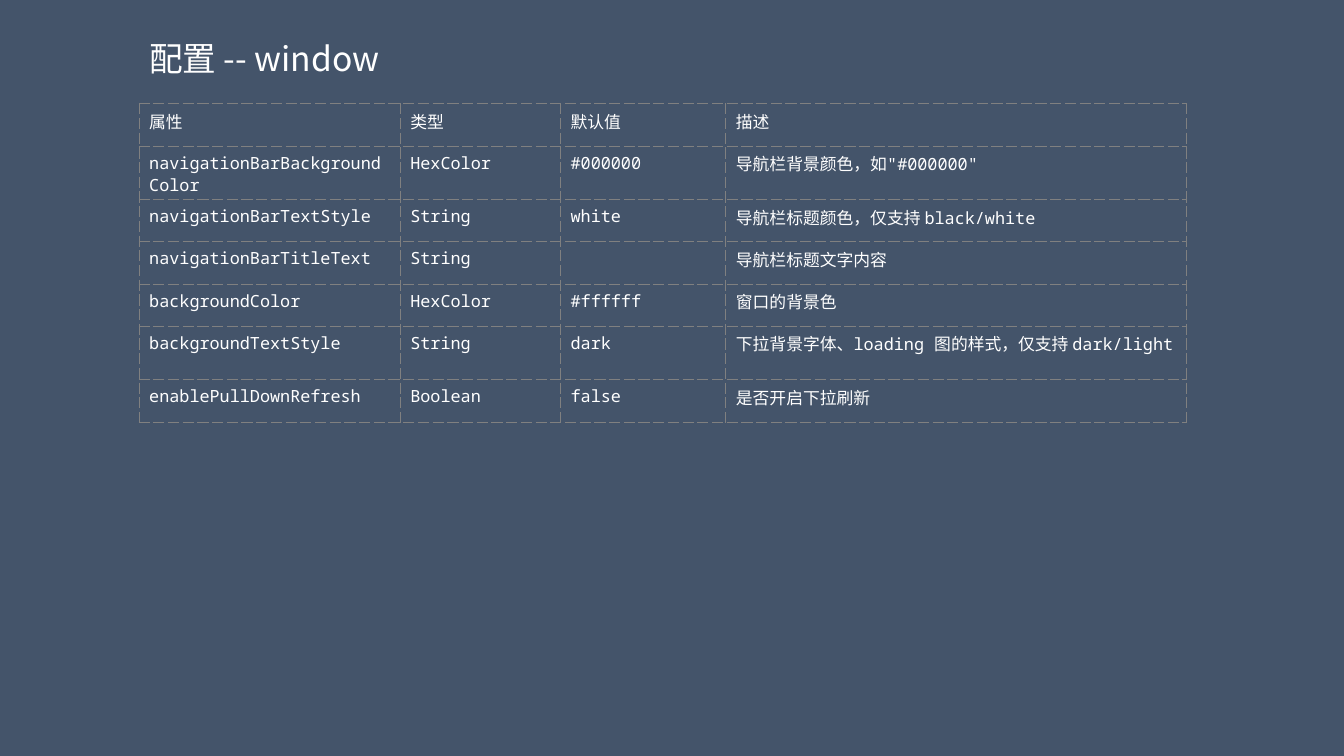
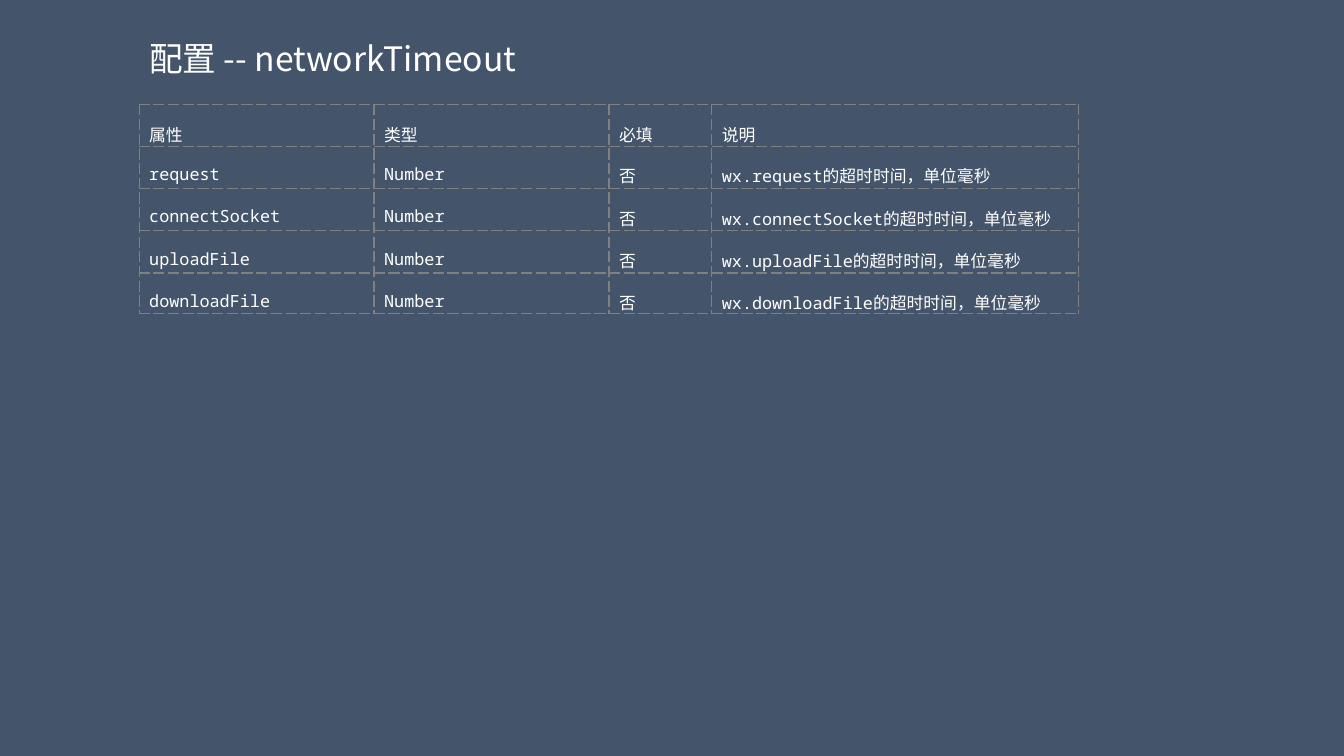
from lxml.etree import SubElement
from pptx import Presentation
from pptx.dml.color import RGBColor
from pptx.enum.text import MSO_AUTO_SIZE
from pptx.oxml.ns import qn
from pptx.util import Inches, Pt

SLIDE_WIDTH, SLIDE_HEIGHT = Inches(13.33), Inches(7.5)
LEFT = Inches(1.38)
SLATE = RGBColor(0x44, 0x54, 0x6A)
WHITE = RGBColor(0xFF, 0xFF, 0xFF)
BORDER_GREY = RGBColor(0x80, 0x80, 0x80)
TITLE_FONT, CODE_FONT = "Noto Sans CJK SC", "Noto Sans Mono"
ROW_HEIGHT, TWO_LINE_HEIGHT = 0.42, 0.53

WINDOW_ROWS = [
    ("属性", "类型", "默认值", "描述"),
    ("navigationBarBackgroundColor", "HexColor", "#000000", '导航栏背景颜色，如"#000000"'),
    ("navigationBarTextStyle", "String", "white", "导航栏标题颜色，仅支持 black/white"),
    ("navigationBarTitleText", "String", "", "导航栏标题文字内容"),
    ("backgroundColor", "HexColor", "#ffffff", "窗口的背景色"),
    ("backgroundTextStyle", "String", "dark", "下拉背景字体、loading 图的样式，仅支持 dark/light"),
    ("enablePullDownRefresh", "Boolean", "false", "是否开启下拉刷新"),
]
TWO_LINE_PROPERTIES = ("navigationBarBackgroundColor", "backgroundTextStyle")
TIMEOUT_ROWS = [("属性", "类型", "必填", "说明")] + [
    (request, "Number", "否", f"wx.{request}的超时时间，单位毫秒")
    for request in ("request", "connectSocket", "uploadFile", "downloadFile")
]


def style_text(paragraph, font_name, size):
    paragraph.font.name = font_name
    paragraph.font.size = Pt(size)
    paragraph.font.color.rgb = WHITE


def add_titled_slide(deck, topic):
    slide = deck.slides.add_slide(deck.slide_layouts[6])
    slide.background.fill.solid()
    slide.background.fill.fore_color.rgb = SLATE
    title = slide.shapes.add_textbox(LEFT, Inches(0.33), Inches(10.88), Inches(0.5)).text_frame
    title.word_wrap = True
    title.auto_size = MSO_AUTO_SIZE.SHAPE_TO_FIT_TEXT
    title.text = f"配置 -- {topic}"
    style_text(title.paragraphs[0], TITLE_FONT, 24)
    return slide


def add_dashed_borders(cell):
    properties = cell._tc.get_or_add_tcPr()
    for side in ("lnL", "lnR", "lnT", "lnB"):
        border = SubElement(properties, qn(f"a:{side}"), w=str(Pt(1)))
        fill = SubElement(border, qn("a:solidFill"))
        SubElement(fill, qn("a:srgbClr"), val=str(BORDER_GREY))
        SubElement(border, qn("a:prstDash"), val="sysDash")


def fill_cell(cell, text, line_spacing):
    cell.text = text
    paragraph = cell.text_frame.paragraphs[0]
    paragraph.line_spacing = line_spacing
    style_text(paragraph, CODE_FONT, 12)
    add_dashed_borders(cell)
    cell.fill.background()


def add_property_table(slide, rows, top, column_widths, row_heights, line_spacing=None):
    table = slide.shapes.add_table(
        len(rows), len(column_widths), LEFT, Inches(top),
        Inches(sum(column_widths)), Inches(sum(row_heights))).table
    table.first_row = table.horz_banding = False
    for column, width in zip(table.columns, column_widths):
        column.width = Inches(width)
    for row, height, texts in zip(table.rows, row_heights, rows):
        row.height = Inches(height)
        for cell, text in zip(row.cells, texts):
            fill_cell(cell, text, line_spacing)


def main():
    deck = Presentation()
    deck.slide_width, deck.slide_height = SLIDE_WIDTH, SLIDE_HEIGHT
    window_heights = [
        TWO_LINE_HEIGHT if row[0] in TWO_LINE_PROPERTIES else ROW_HEIGHT
        for row in WINDOW_ROWS]
    add_property_table(
        add_titled_slide(deck, "window"), WINDOW_ROWS, 1.03,
        (2.59, 1.59, 1.64, 4.57), window_heights)
    add_property_table(
        add_titled_slide(deck, "networkTimeout"), TIMEOUT_ROWS, 1.04,
        (2.33, 2.33, 1.02, 3.64), [0.41, *[ROW_HEIGHT] * 3, 0.4], line_spacing=1.5)
    deck.save("out.pptx")


if __name__ == "__main__":
    main()
